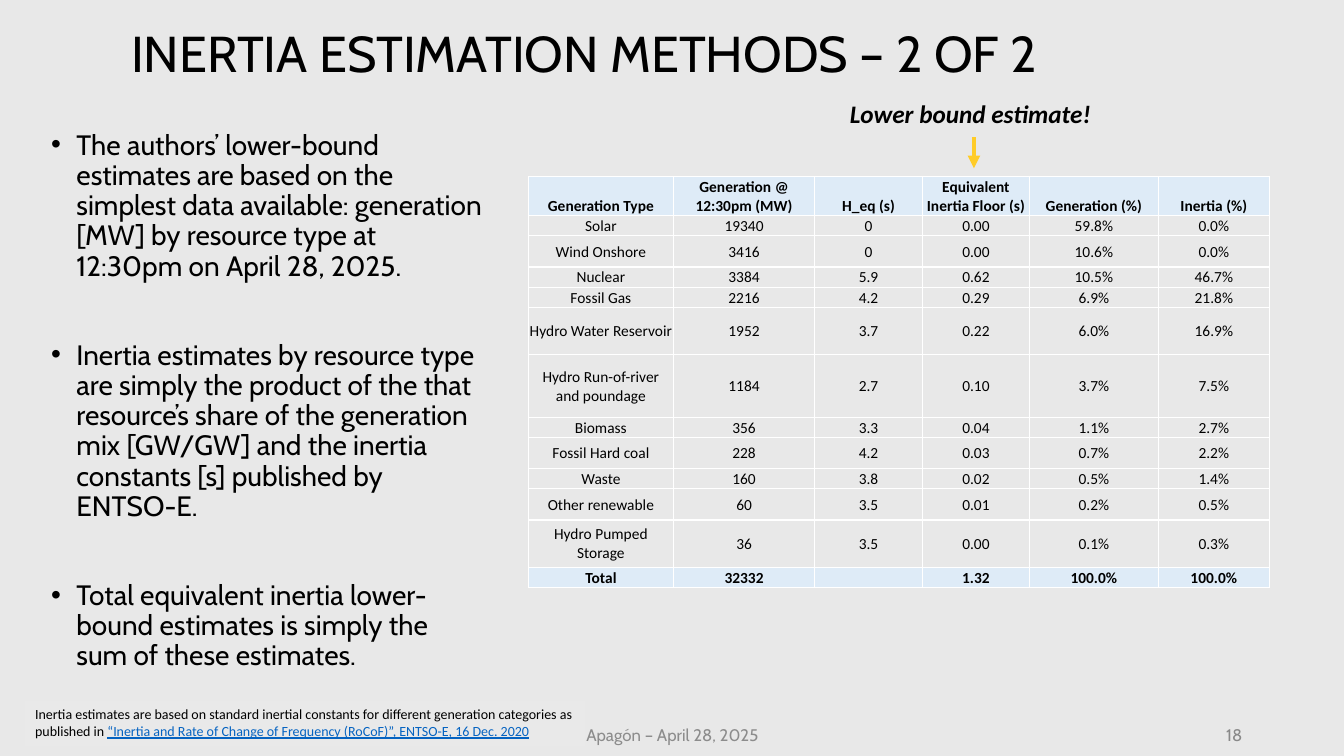
"""Builds the slide on lower-bound inertia estimates by generation type."""
from lxml.etree import SubElement
from pptx import Presentation
from pptx.dml.color import RGBColor
from pptx.enum.shapes import MSO_CONNECTOR
from pptx.enum.text import MSO_ANCHOR, PP_ALIGN
from pptx.oxml.ns import qn
from pptx.util import Inches, Pt

BLACK = RGBColor(0x00, 0x00, 0x00)
BACKGROUND = RGBColor(0xE8, 0xE8, 0xE8)
NOTE_FILL = RGBColor(0xE9, 0xE9, 0xE9)
FOOTER_GRAY = RGBColor(0x8C, 0x8C, 0x8C)
NUMBER_GRAY = RGBColor(0x89, 0x89, 0x89)
CITATION_BLUE = RGBColor(0x05, 0x63, 0xC1)
HEADER_BLUE = RGBColor(0xDE, 0xEB, 0xF7)
ARROW_YELLOW = RGBColor(0xFF, 0xCC, 0x28)
BORDER_HEX = "FFFFFF"

HEADING_FONT = "Cabin"
TABLE_FONT = "Calibri"

POINTS = [
    "The authors’ lower-bound estimates are based on the simplest data available: "
    "generation [MW] by resource type at 12:30pm on April 28, 2025.",
    "Inertia estimates by resource type are simply the product of the that resource’s "
    "share of the generation mix [GW/GW] and the inertia constants [s] published by ENTSO-E.",
    "Total equivalent inertia lower-bound estimates is simply the sum of these estimates.",
]
NOTE = ("Inertia estimates are based on standard inertial constants for different "
        "generation categories as published in ")
CITATION = "“Inertia and Rate of Change of Frequency (RoCoF)”, ENTSO-E, 16 Dec. 2020"

GENERATION_ROWS = [
    ("Generation Type", "Generation @ 12:30pm (MW)", "H_eq (s)",
     "Equivalent Inertia Floor (s)", "Generation (%)", "Inertia (%)"),
    ("Solar", "19340", "0", "0.00", "59.8%", "0.0%"),
    ("Wind Onshore", "3416", "0", "0.00", "10.6%", "0.0%"),
    ("Nuclear", "3384", "5.9", "0.62", "10.5%", "46.7%"),
    ("Fossil Gas", "2216", "4.2", "0.29", "6.9%", "21.8%"),
    ("Hydro Water Reservoir", "1952", "3.7", "0.22", "6.0%", "16.9%"),
    ("Hydro Run-of-river and poundage", "1184", "2.7", "0.10", "3.7%", "7.5%"),
    ("Biomass", "356", "3.3", "0.04", "1.1%", "2.7%"),
    ("Fossil Hard coal", "228", "4.2", "0.03", "0.7%", "2.2%"),
    ("Waste", "160", "3.8", "0.02", "0.5%", "1.4%"),
    ("Other renewable", "60", "3.5", "0.01", "0.2%", "0.5%"),
    ("Hydro Pumped Storage", "36", "3.5", "0.00", "0.1%", "0.3%"),
    ("Total", "32332", "", "1.32", "100.0%", "100.0%"),
]
COLUMN_WIDTHS = [1.44, 1.4, 1.07, 1.06, 1.28, 1.1]
ROW_HEIGHTS = [0.39, 0.2, 0.31, 0.2, 0.2, 0.47, 0.62, 0.2, 0.31, 0.2, 0.31, 0.47, 0.2]


def style_runs(paragraph, size, font=HEADING_FONT, color=BLACK, bold=False, italic=False):
    for run in paragraph.runs:
        run.font.size = Pt(size)
        run.font.name = font
        run.font.color.rgb = color
        run.font.bold = bold
        run.font.italic = italic


def add_text(slide, text, left, top, width, height, size,
             align=PP_ALIGN.LEFT, anchor=MSO_ANCHOR.TOP, **style):
    box = slide.shapes.add_textbox(Inches(left), Inches(top), Inches(width), Inches(height))
    frame = box.text_frame
    frame.word_wrap = True
    frame.vertical_anchor = anchor
    frame.text = text
    for paragraph in frame.paragraphs:
        paragraph.alignment = align
        style_runs(paragraph, size, **style)
    return box


def set_title(slide, text):
    title = slide.shapes.title
    title.left, title.top = Inches(1.2), Inches(0.15)
    title.width, title.height = Inches(11.05), Inches(0.82)
    title.text_frame.text = text
    title.text_frame.vertical_anchor = MSO_ANCHOR.MIDDLE
    heading = title.text_frame.paragraphs[0]
    heading.alignment = PP_ALIGN.LEFT
    heading.line_spacing = 0.9
    style_runs(heading, 36)


def add_points(slide, points):
    box = add_text(slide, "\n".join(points), 0.41, 1.25, 4.5, 5.77, 20)
    for index, paragraph in enumerate(box.text_frame.paragraphs):
        paragraph.line_spacing = 0.9
        paragraph.space_before = Pt(42 if index else 0)
        properties = paragraph._p.get_or_add_pPr()
        properties.set("marL", str(Inches(0.25)))
        properties.set("indent", str(-Inches(0.25)))
        SubElement(properties, qn("a:buFont"), typeface="Arial")
        SubElement(properties, qn("a:buChar"), char="•")


def add_note(slide):
    note = add_text(slide, NOTE, 0.25, 6.95, 5.55, 0.45, 10, font=TABLE_FONT)
    note.fill.solid()
    note.fill.fore_color.rgb = NOTE_FILL
    citation = note.text_frame.paragraphs[0].add_run()
    citation.text = CITATION
    citation.font.size = Pt(10)
    citation.font.name = TABLE_FONT
    citation.font.color.rgb = CITATION_BLUE
    citation.font.underline = True


def add_borders(cell):
    properties = cell._tc.get_or_add_tcPr()
    for side in ("lnL", "lnR", "lnT", "lnB"):
        border = SubElement(properties, qn(f"a:{side}"), w=str(Pt(1)))
        fill = SubElement(border, qn("a:solidFill"))
        SubElement(fill, qn("a:srgbClr"), val=BORDER_HEX)


def format_cell(cell, text, emphasized, anchor):
    cell.text = text
    cell.vertical_anchor = anchor
    cell.margin_left = cell.margin_right = cell.margin_top = Inches(0.01)
    cell.margin_bottom = 0
    add_borders(cell)
    if emphasized:
        cell.fill.solid()
        cell.fill.fore_color.rgb = HEADER_BLUE
    else:
        cell.fill.background()
    paragraph = cell.text_frame.paragraphs[0]
    paragraph.alignment = PP_ALIGN.CENTER
    style_runs(paragraph, 11, font=TABLE_FONT, bold=emphasized)
    if not text:
        paragraph._p.get_or_add_endParaRPr().set("sz", "1100")


def add_generation_table(slide):
    table = slide.shapes.add_table(
        len(GENERATION_ROWS), len(COLUMN_WIDTHS), Inches(5.24), Inches(1.75),
        Inches(sum(COLUMN_WIDTHS)), Inches(sum(ROW_HEIGHTS))).table
    table.first_row = table.horz_banding = False
    for column, width in zip(table.columns, COLUMN_WIDTHS):
        column.width = Inches(width)
    last = len(GENERATION_ROWS) - 1
    for index, values in enumerate(GENERATION_ROWS):
        table.rows[index].height = Inches(ROW_HEIGHTS[index])
        anchor = MSO_ANCHOR.MIDDLE if index else MSO_ANCHOR.BOTTOM
        for cell, value in zip(table.rows[index].cells, values):
            format_cell(cell, value, index in (0, last), anchor)


def add_arrow(slide, x, top, bottom):
    arrow = slide.shapes.add_connector(
        MSO_CONNECTOR.STRAIGHT, Inches(x), Inches(top), Inches(x), Inches(bottom))
    arrow.line.color.rgb = ARROW_YELLOW
    arrow.line.width = Pt(3)
    SubElement(arrow.line._get_or_add_ln(), qn("a:tailEnd"), type="triangle")
    SubElement(arrow._element.spPr, qn("a:effectLst"))


def main():
    deck = Presentation()
    deck.slide_width, deck.slide_height = Inches(13.33), Inches(7.5)
    slide = deck.slides.add_slide(deck.slide_layouts.get_by_name("Title Only"))
    slide.background.fill.solid()
    slide.background.fill.fore_color.rgb = BACKGROUND

    set_title(slide, "INERTIA ESTIMATION METHODS – 2 OF 2")
    add_text(slide, "Apagón – April 28, 2025", 4.42, 7.14, 4.5, 0.29, 12,
             PP_ALIGN.CENTER, MSO_ANCHOR.MIDDLE, color=FOOTER_GRAY)
    add_text(slide, "18", 9.42, 7.14, 3, 0.29, 12,
             PP_ALIGN.RIGHT, MSO_ANCHOR.MIDDLE, color=NUMBER_GRAY)
    add_note(slide)
    add_points(slide, POINTS)
    add_generation_table(slide)
    add_text(slide, "Lower bound estimate!", 8.33, 0.93, 2.66, 0.4, 18,
             font=TABLE_FONT, bold=True, italic=True)
    add_arrow(slide, 9.66, 1.36, 1.67)
    deck.save("out.pptx")


if __name__ == "__main__":
    main()
